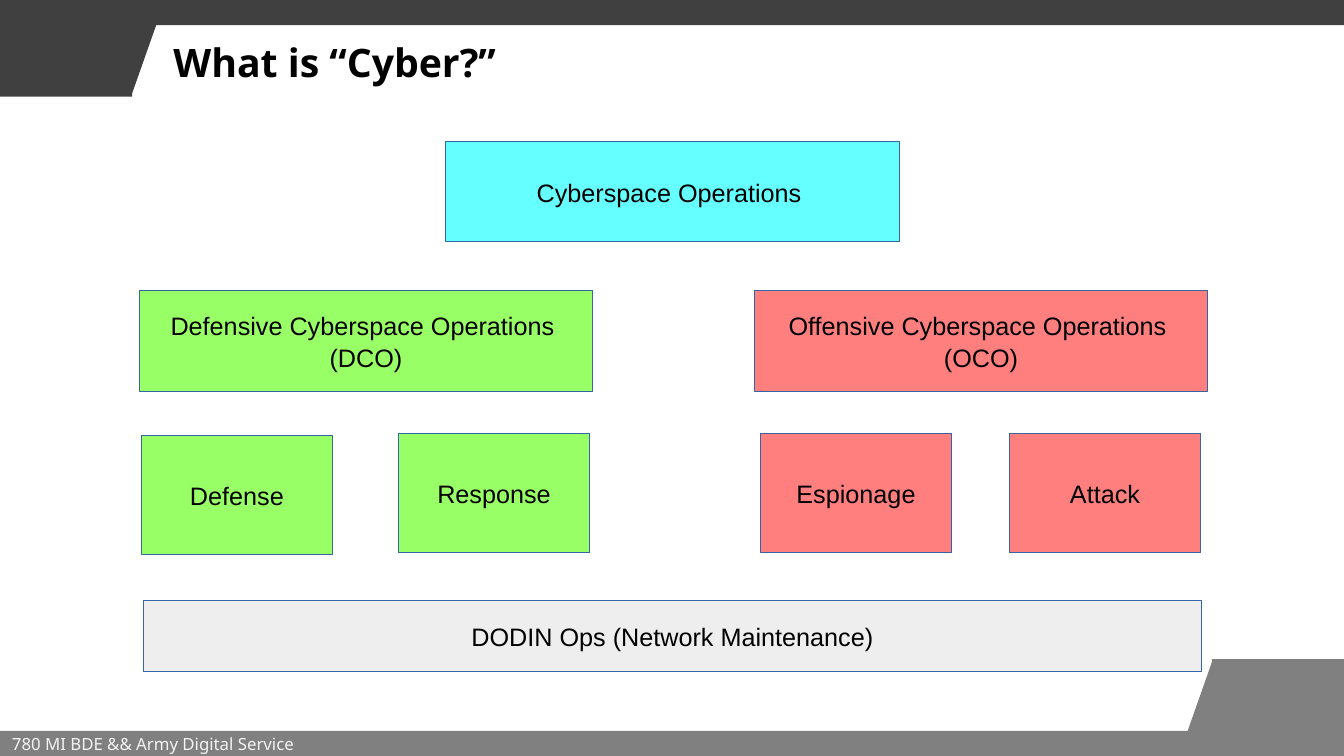
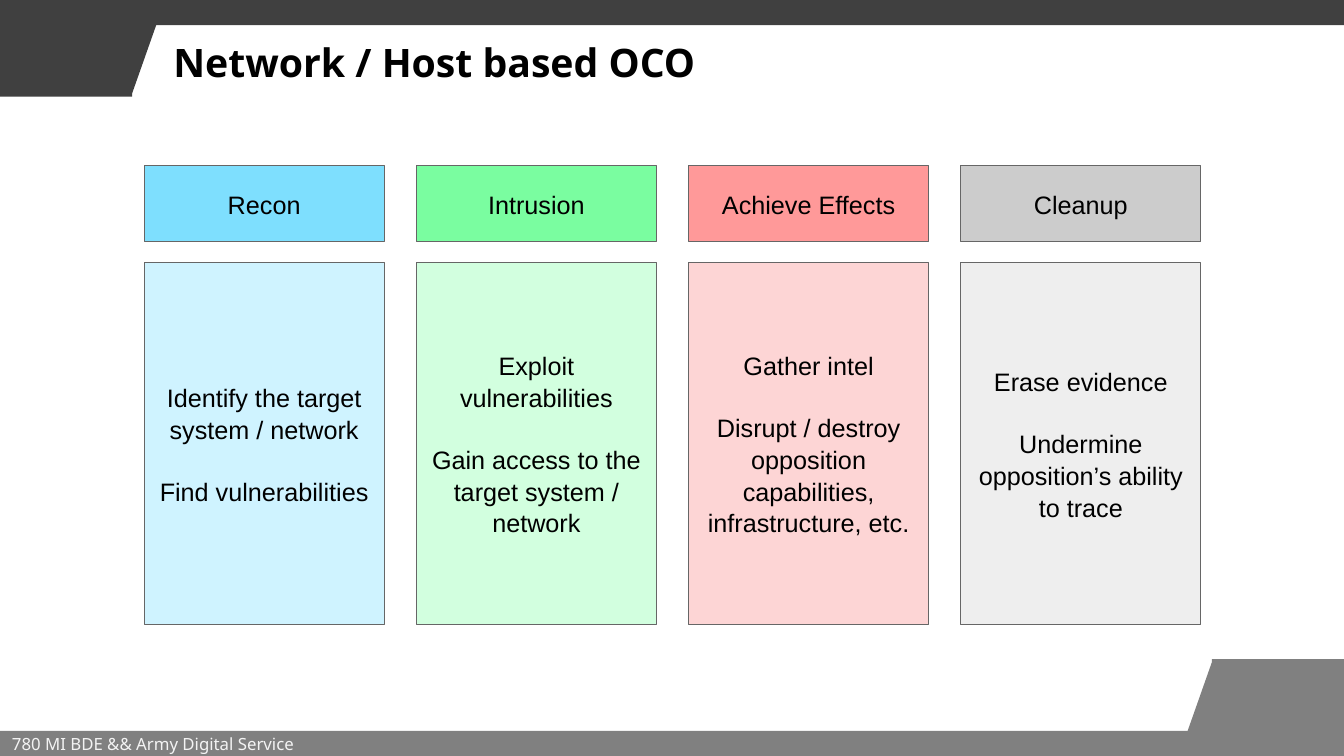
from pptx import Presentation
from pptx.dml.color import RGBColor
from pptx.enum.shapes import MSO_SHAPE
from pptx.enum.text import MSO_ANCHOR, MSO_AUTO_SIZE, PP_ALIGN
from pptx.util import Inches, Pt

WIDTH, HEIGHT = 13.33, 7.5
BLACK = "000000"
BLUE_LINE, GREY_LINE = "3465A4", "666666"
CYAN, GREEN, RED, PALE_GREY = "66FFFF", "99FF66", "FF7F7F", "EEEEEE"
TOP_BAND = [(0, 0), (WIDTH, 0), (WIDTH, 0.25), (1.55, 0.25),
            (1.31, 0.93), (1.31, 0.96), (0, 0.96)]
BOTTOM_BAND = [(WIDTH - x, HEIGHT - y) for x, y in TOP_BAND]


def color(value):
    """Return the colour for a hex string."""
    return RGBColor.from_string(value)


class Deck:
    """Hold the shared style and the current slide."""

    title_font = "Noto Sans"
    body_font = "Arial"
    footer = "780 MI BDE && Army Digital Service"

    def __init__(self):
        """Start an empty widescreen presentation."""
        self.presentation = Presentation()
        self.presentation.slide_width = Inches(WIDTH)
        self.presentation.slide_height = Inches(HEIGHT)
        self.slide = None

    def add_slide(self, title):
        """Add a slide with its bands, footer and title."""
        layout = self.presentation.slide_layouts[5]
        self.slide = self.presentation.slides.add_slide(layout)
        self.band(BOTTOM_BAND, "808080")
        self.band(TOP_BAND, "404040")
        self.add_footer()
        self.add_title(title)

    def band(self, points, fill):
        """Draw a slanted band through the given points."""
        corners = [(Inches(x), Inches(y)) for x, y in points]
        builder = self.slide.shapes.build_freeform(*corners[0])
        builder.add_line_segments(corners[1:], close=True)
        shape = builder.convert_to_shape()
        shape.shadow.inherit = False
        shape.fill.solid()
        shape.fill.fore_color.rgb = color(fill)
        shape.line.fill.background()

    def add_footer(self):
        """Write the footer on the bottom band."""
        shape = self.slide.shapes.add_textbox(
            Inches(0.02), Inches(7.25), Inches(4.24), Inches(0.25))
        frame = shape.text_frame
        frame.word_wrap = True
        frame.vertical_anchor = MSO_ANCHOR.MIDDLE
        frame.margin_top = frame.margin_bottom = 0
        self.add_run(frame.paragraphs[0], self.footer, 12, self.title_font, "F3F3F3")

    def add_title(self, text):
        """Place and format the title placeholder."""
        shape = self.slide.shapes.title
        shape.left, shape.top = Inches(1.62), Inches(0.33)
        shape.width, shape.height = Inches(11.21), Inches(0.75)
        frame = shape.text_frame
        frame.auto_size = MSO_AUTO_SIZE.NONE
        frame.vertical_anchor = MSO_ANCHOR.TOP
        paragraph = frame.paragraphs[0]
        paragraph.alignment = PP_ALIGN.LEFT
        self.add_run(paragraph, text, 28, self.title_font, BLACK, bold=True)

    def add_run(self, paragraph, text, size, font, font_color, bold=False):
        """Add one formatted run to a paragraph."""
        run = paragraph.add_run()
        run.text = text
        run.font.size = Pt(size)
        run.font.name = font
        run.font.bold = bold
        run.font.color.rgb = color(font_color)

    def box(self, left, top, width, height, lines, fill, line, gap=0):
        """Add an outlined box with centred paragraphs."""
        shape = self.slide.shapes.add_shape(
            MSO_SHAPE.RECTANGLE,
            Inches(left), Inches(top), Inches(width), Inches(height))
        shape.shadow.inherit = False
        shape.fill.solid()
        shape.fill.fore_color.rgb = color(fill)
        shape.line.color.rgb = color(line)
        shape.line.width = Pt(0.75)
        frame = shape.text_frame
        frame.word_wrap = True
        frame.vertical_anchor = MSO_ANCHOR.MIDDLE
        frame.margin_top = frame.margin_bottom = Inches(0.2)
        for index, text in enumerate(lines):
            paragraph = frame.add_paragraph() if index else frame.paragraphs[0]
            paragraph.alignment = PP_ALIGN.CENTER
            paragraph.line_spacing = 1.05
            paragraph.space_before = Pt(gap if index else 0)
            self.add_run(paragraph, text, 18, self.body_font, BLACK)


def add_cyber_slide(deck):
    """Build the tree of cyberspace operations."""
    deck.add_slide("What is “Cyber?”")
    for left, top, text, fill in [
        (1.4, 4.32, "Defense", GREEN),
        (3.95, 4.3, "Response", GREEN),
        (7.54, 4.3, "Espionage", RED),
        (10.01, 4.3, "Attack", RED),
    ]:
        deck.box(left, top, 1.9, 1.18, [text], fill, BLUE_LINE)
    for left, top, lines, fill in [
        (1.38, 2.88, ["Defensive Cyberspace Operations ", "(DCO)"], GREEN),
        (7.48, 2.88, ["Offensive Cyberspace Operations ", "(OCO)"], RED),
        (4.42, 1.4, ["Cyberspace Operations "], CYAN),
    ]:
        deck.box(left, top, 4.5, 1, lines, fill, BLUE_LINE)
    deck.box(1.42, 5.96, 10.5, 0.7, ["DODIN Ops (Network Maintenance)"],
             PALE_GREY, BLUE_LINE)


def add_phases_slide(deck):
    """Build the four phases of an operation."""
    deck.add_slide("Network / Host based OCO")
    phases = [
        ("Recon", "7EDFFE", "CFF3FF",
         ["Identify the target system / network", "Find vulnerabilities"]),
        ("Intrusion", "7AFDA0", "D2FFDF",
         ["Exploit vulnerabilities", "Gain access to the target system / network"]),
        ("Achieve Effects", "FF9999", "FDD5D5",
         ["Gather intel",
          "Disrupt / destroy opposition capabilities, infrastructure, etc."]),
        ("Cleanup", "CCCCCC", PALE_GREY,
         ["Erase evidence", "Undermine opposition’s ability to trace"]),
    ]
    for index, (name, head_fill, body_fill, lines) in enumerate(phases):
        left = 1.43 + 2.7 * index
        deck.box(left, 2.6, 2.38, 3.6, lines, body_fill, GREY_LINE, gap=21.6)
        deck.box(left, 1.64, 2.38, 0.76, [name], head_fill, GREY_LINE)


def main():
    """Build and save the presentation."""
    deck = Deck()
    add_cyber_slide(deck)
    add_phases_slide(deck)
    deck.presentation.save("out.pptx")


if __name__ == "__main__":
    main()
